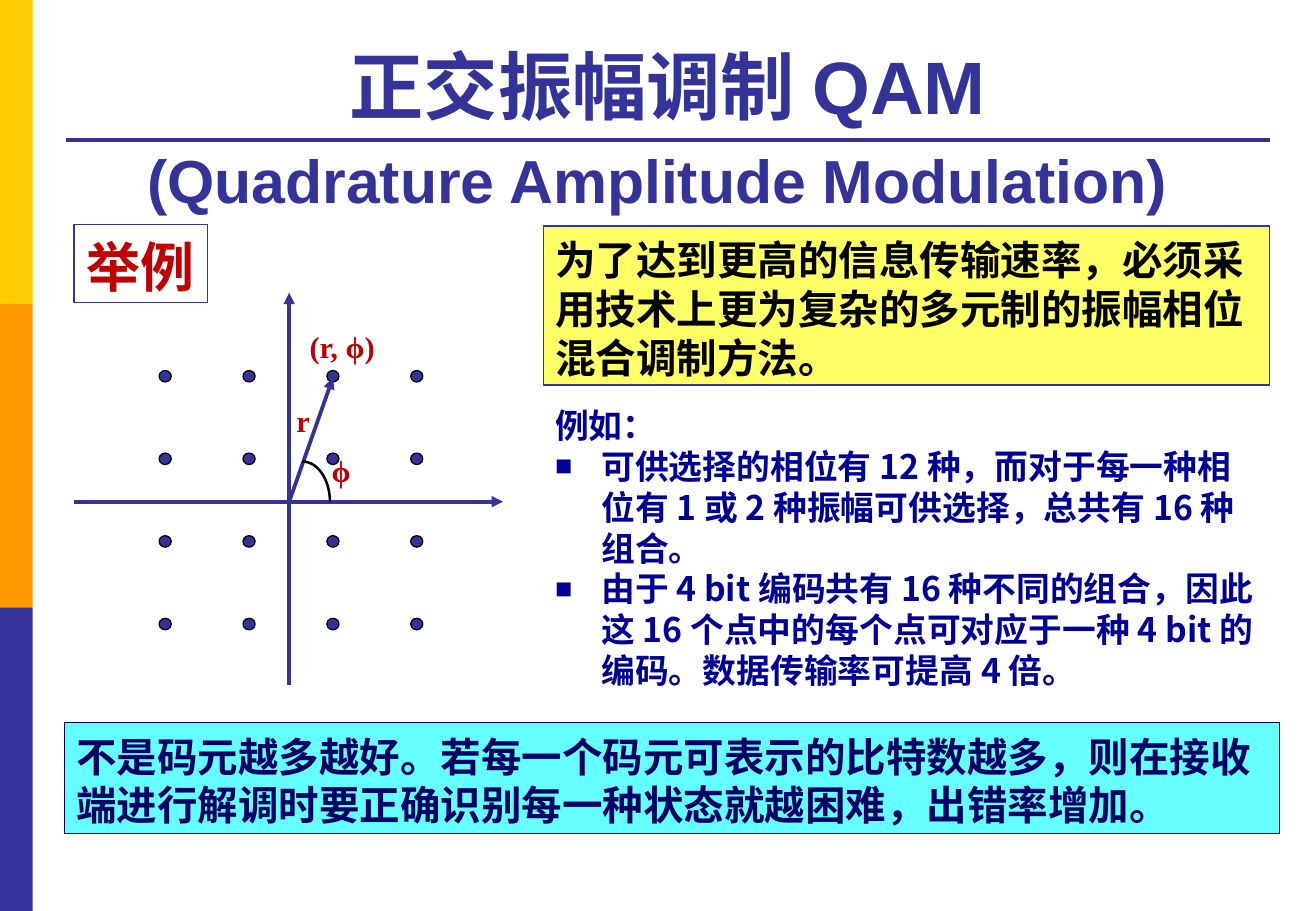
import math
from pptx import Presentation
from pptx import util as u
from pptx.dml.color import RGBColor
from pptx.enum import shapes, text
from pptx.oxml.ns import qn
from lxml import etree

CELL = u.Inches(0.1)
COLS, ROWS = 108.3, 75
BLUE, RED, NAVY = "333399", "C00000", "000066"
SANS, SERIF, CJK = "Arial", "Times New Roman", "Noto Sans CJK SC"


def grid(*cells):
    return [round(c * CELL) for c in cells]


def color(code):
    return RGBColor.from_string(code)


def sub(node, tag, **attrs):
    return etree.SubElement(node, qn(tag), attrs)


def paint(item, fill, line, width=0.75):
    item.shadow.inherit = False
    if fill:
        item.fill.solid()
        item.fill.fore_color.rgb = color(fill)
    else:
        item.fill.background()
    if line:
        item.line.color.rgb = color(line)
        item.line.width = u.Pt(width)
    else:
        item.line.fill.background()


def block(slide, kind, box, fill=None, line=None):
    item = slide.shapes.add_shape(kind, *grid(*box))
    paint(item, fill, line)
    return item


def stroke(slide, start, end, arrow=True):
    item = slide.shapes.add_connector(
        shapes.MSO_CONNECTOR.STRAIGHT, *grid(*start, *end))
    item.line.color.rgb = color(BLUE)
    item.line.width = u.Pt(2.25)
    if arrow:
        sub(item.line._get_or_add_ln(), "a:tailEnd", type="triangle")
    sub(item._element.spPr, "a:effectLst")


def style(run, size, code, face=SANS):
    font = run.font
    font.size = u.Pt(size)
    font.bold = True
    font.name = face
    font.color.rgb = color(code)
    if face != SERIF:
        sub(run._r.get_or_add_rPr(), "a:ea", typeface=CJK)


def pitch(para, size):
    para.line_spacing = u.Pt(round(size * 1.21, 1))


def write(item, words, size, code, face=SANS, wrap=True):
    frame = item.text_frame
    frame.word_wrap = wrap
    frame.vertical_anchor = text.MSO_ANCHOR.TOP
    frame.text = words
    for para in frame.paragraphs:
        para.alignment = text.PP_ALIGN.LEFT
        if face != SERIF:
            pitch(para, size)
            frame.margin_top = u.Inches(0.07)
        for run in para.runs:
            style(run, size, code, face)
    return frame


def panel(slide, box, words, size, code, fill, line, wrap=True):
    item = block(slide, shapes.MSO_SHAPE.RECTANGLE, box, fill, line)
    write(item, words, size, code, wrap=wrap)


def side(slide, box):
    x, y, w, h = box
    for i, fill in enumerate(("FFCC00", "FF9900", BLUE)):
        block(slide, shapes.MSO_SHAPE.RECTANGLE,
              (x, y + i * h / 3, w, h / 3), fill)


def title(slide, box):
    x, y, w, h = box
    stroke(slide, (x, y + 9.1), (x + w, y + 9.1), arrow=False)
    frame = slide.shapes.add_textbox(*grid(*box)).text_frame
    frame.word_wrap = True
    frame.vertical_anchor = text.MSO_ANCHOR.BOTTOM
    para = frame.paragraphs[0]
    para.alignment = text.PP_ALIGN.CENTER
    pitch(para, 44)
    for words, size in (("正交振幅调制 QAM", 44),
                        ("(Quadrature Amplitude Modulation)", 36), (" ", 44)):
        if size == 36:
            para.add_line_break()
        run = para.add_run()
        run.text = words
        style(run, size, BLUE)


def plot(slide, box):
    x, y, w, h = box
    ox, oy = x + 17.7, y + 17.2
    stroke(slide, (ox, y + h), (ox, y))
    for row in range(4):
        for col in range(4):
            block(slide, shapes.MSO_SHAPE.OVAL,
                  (x + 7 + 6.9 * col, y + 6.4 + 6.8 * row, 1, 0.95),
                  BLUE, "000000")
    stroke(slide, (x, oy), (x + w, oy))
    stroke(slide, (ox, oy), (ox + 3.6, oy - 10.2))
    turns = [i * math.pi / 32 for i in range(17)]
    dots = [grid(ox + 1.1 + 2.25 * math.sin(t), oy - 3.3 * math.cos(t))
            for t in turns]
    path = slide.shapes.build_freeform(*dots[0])
    path.add_line_segments(dots[1:], close=False)
    paint(path.convert_to_shape(), None, "000000", 1.5)
    for words, dx, dy, wide in (("r", 17.3, 8.5, 3.1), ("ϕ", 20.2, 12.6, 3.5),
                                ("(r, ϕ)", 18.4, 2.4, 7.4)):
        note = slide.shapes.add_textbox(*grid(x + dx, y + dy, wide, 4))
        write(note, words, 18, RED, SERIF, wrap=False)


def points(slide, box):
    item = slide.shapes.add_textbox(*grid(*box))
    frame = write(item, "\n".join((
        "例如：",
        "可供选择的相位有 12 种，而对于每一种相位有 1 或 2 种振幅可供选择，总共有 16 种组合。",
        "由于 4 bit 编码共有 16 种不同的组合，因此这 16 个点中的每个点可对应于一种 4 bit 的编码。数据传输率可提高 4 倍。",
    )), 20, "000099", CJK)
    for para in frame.paragraphs[1:]:
        props = para._p.get_or_add_pPr()
        props.set("marL", str(u.Inches(0.38)))
        props.set("indent", str(-u.Inches(0.38)))
        sub(props, "a:buSzPct", val="85000")
        sub(props, "a:buFont", typeface=SANS)
        sub(props, "a:buChar", char="■")


def main():
    deck = Presentation()
    deck.slide_width, deck.slide_height = grid(COLS, ROWS)
    slide = deck.slides.add_slide(deck.slide_layouts[6])
    side(slide, (0, 0, 2.7, ROWS))
    title(slide, (5.4, 2.4, 99.1, 16.1))
    plot(slide, (6.1, 24.1, 35.3, 32.3))
    panel(slide, (5.3, 59.5, 100, 9.1),
          "不是码元越多越好。若每一个码元可表示的比特数越多，则在接收端进行解调时要正确识别每一种状态就越困难，出错率增加。",
          24, NAVY, "66FFFF", NAVY)
    panel(slide, (6.1, 18.5, 11, 6.4), "举例", 32, RED, None, BLUE, wrap=False)
    panel(slide, (44.7, 18.6, 59.8, 13.1),
          "为了达到更高的信息传输速率，必须采用技术上更为复杂的多元制的振幅相位混合调制方法。",
          24, "000000", "FFFF66", BLUE)
    points(slide, (44.7, 32.6, 59.8, 24.6))
    deck.save("out.pptx")


if __name__ == "__main__":
    main()
